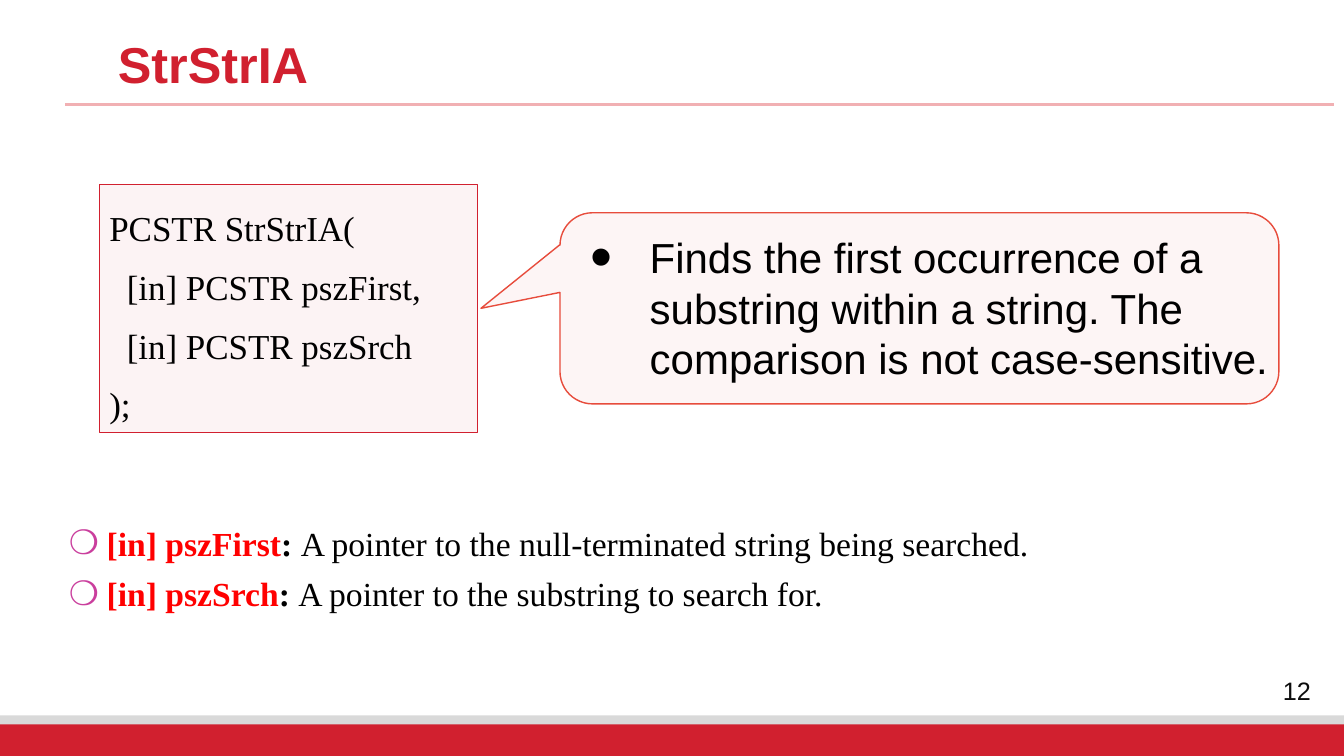
from lxml import etree
from pptx import Presentation
from pptx.dml.color import RGBColor
from pptx.enum.shapes import MSO_CONNECTOR, MSO_SHAPE
from pptx.enum.text import MSO_ANCHOR, MSO_AUTO_SIZE, PP_ALIGN
from pptx.oxml.ns import qn
from pptx.util import Pt

RECT = MSO_SHAPE.RECTANGLE
BUBBLE = MSO_SHAPE.ROUNDED_RECTANGULAR_CALLOUT
TOP, MIDDLE = MSO_ANCHOR.TOP, MSO_ANCHOR.MIDDLE
LEFT, CENTER = PP_ALIGN.LEFT, PP_ALIGN.CENTER
SANS, SERIF = "Arial", "Times New Roman"
HEX = {"red": "D1202F", "gray": "D9D9D9", "rule": "F1B0B3", "coral": "E74C3C",
       "name": "FF0000", "ring": "CA3E9D", "text": "000000", "page": "0D0D0D"}
RGB = {key: RGBColor.from_string(code) for key, code in HEX.items()}

deck = Presentation()
deck.slide_width, deck.slide_height = Pt(960), Pt(540)
slide = deck.slides.add_slide(deck.slide_layouts[1])
shapes = slide.shapes


def add_block(kind, box, fill, line=None, width=0.75, alpha=None):
    block = shapes.add_shape(kind, *map(Pt, box))
    block.shadow.inherit = False
    block.fill.solid()
    block.fill.fore_color.rgb = RGB[fill]
    if alpha:
        tint = block.fill._xPr.find(".//" + qn("a:srgbClr"))
        etree.SubElement(tint, qn("a:alpha"), val=str(alpha * 1000))
    if line:
        block.line.color.rgb = RGB[line]
        block.line.width = Pt(width)
    else:
        block.line.fill.background()
    return block


def add_bullet(para, mark, color, size, margin, indent):
    props = para._p.get_or_add_pPr()
    props.set("marL", str(Pt(margin)))
    props.set("indent", str(Pt(indent)))
    tint = etree.SubElement(props, qn("a:buClr"))
    etree.SubElement(tint, qn("a:srgbClr"), val=HEX[color])
    etree.SubElement(props, qn("a:buSzPct"), val=str(size * 1000))
    etree.SubElement(props, qn("a:buFont"), typeface=SANS)
    etree.SubElement(props, qn("a:buChar"), char=mark)


# Footer bars and title rule
add_block(RECT, (0, 511, 960, 29), "gray")
add_block(RECT, (0, 517.5, 960, 22.5), "red")
rule = shapes.add_connector(MSO_CONNECTOR.STRAIGHT, Pt(46.5), Pt(74.5), Pt(953), Pt(74.5))
rule.line.color.rgb = RGB["rule"]
rule.line.width = Pt(2.25)
etree.SubElement(rule._element.spPr, qn("a:effectLst"))

# Slide number
page = shapes.add_textbox(Pt(893.5), Pt(479), Pt(65.5), Pt(28))
page.text_frame.vertical_anchor = MIDDLE
para = page.text_frame.paragraphs[0]
para.text = "12"
para.alignment = CENTER
para.font.size, para.font.name = Pt(18), SANS
para.font.color.rgb = RGB["page"]

# Title
title = shapes.title
title.left, title.top, title.width, title.height = map(Pt, (77, 25, 818.5, 34.5))
title.text_frame.auto_size = MSO_AUTO_SIZE.NONE
title.text_frame.vertical_anchor = TOP
para = title.text_frame.paragraphs[0]
para.text = "StrStrIA"
para.alignment, para.line_spacing = LEFT, 0.9
para.font.size, para.font.name, para.font.bold = Pt(36), SANS, True
para.font.color.rgb = RGB["red"]

# Parameter list
body = slide.placeholders[1]
body.left, body.top, body.width, body.height = map(Pt, (42, 373, 779, 70))
frame = body.text_frame
frame.auto_size = MSO_AUTO_SIZE.NONE
params = [("[in] pszFirst", "A pointer to the null-terminated string being searched."),
          ("[in] pszSrch", "A pointer to the substring to search for.")]
for i, (name, note) in enumerate(params):
    para = frame.add_paragraph() if i else frame.paragraphs[0]
    add_bullet(para, "❍", "ring", 100, 27, -27)
    para.line_spacing, para.space_before, para.space_after = 0.9, Pt(0), Pt(10)
    para.font.size, para.font.name = Pt(24), SERIF
    for text, color, bold in ((name, "name", True), (": ", "text", True), (note, "text", False)):
        run = para.add_run()
        run.text = text
        run.font.bold = bold
        run.font.color.rgb = RGB[color]

# Function signature
code = add_block(RECT, (71, 132, 270, 177), "red", "red", alpha=5)
frame = code.text_frame
frame.vertical_anchor = TOP
lines = ["PCSTR StrStrIA(", "  [in] PCSTR pszFirst,", "  [in] PCSTR pszSrch", ");"]
for i, text in enumerate(lines):
    para = frame.add_paragraph() if i else frame.paragraphs[0]
    para.text = text
    para.alignment, para.line_spacing = LEFT, 1.4
    para.font.size, para.font.name = Pt(25), SERIF
    para.font.color.rgb = RGB["text"]

# Callout with its description
bubble = add_block(BUBBLE, (400, 152, 513.5, 136.5), "coral", "coral", 1, 5)
for i, value in enumerate((-0.61, 0, 0.17)):
    bubble.adjustments[i] = value
note = shapes.add_textbox(Pt(400), Pt(162), Pt(513.5), Pt(116))
note.text_frame.word_wrap = True
para = note.text_frame.paragraphs[0]
para.text = ("Finds the first occurrence of a substring within a string. "
             "The comparison is not case-sensitive.")
add_bullet(para, "•", "text", 150, 57, -42.5)
para.font.size, para.font.name = Pt(30), SANS
para.font.color.rgb = RGB["text"]

deck.save("out.pptx")
